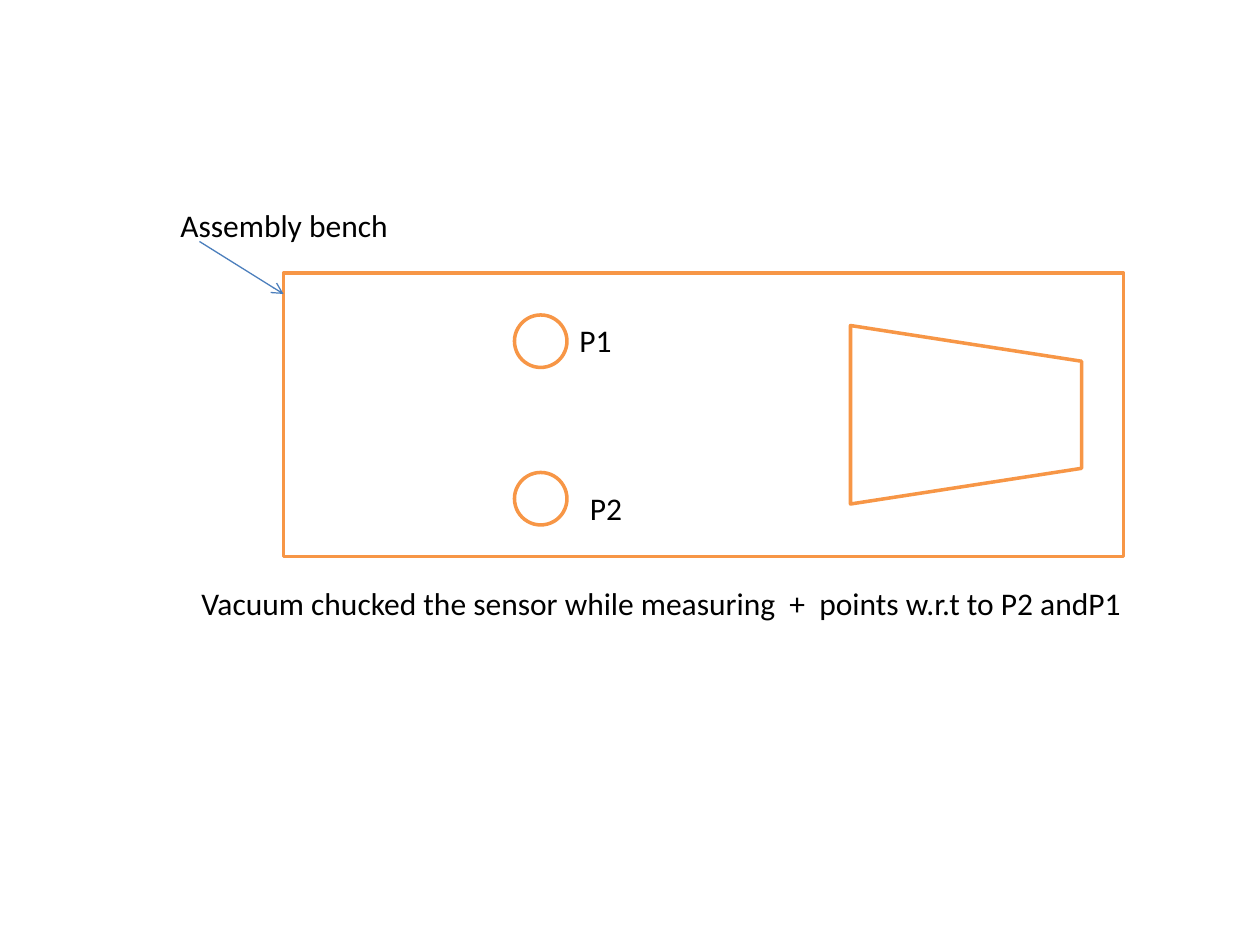
from lxml import etree
from pptx import Presentation
from pptx.dml.color import RGBColor
from pptx.enum.shapes import MSO_CONNECTOR, MSO_SHAPE
from pptx.enum.text import MSO_AUTO_SIZE
from pptx.oxml.ns import qn
from pptx.util import Pt

RECT = MSO_SHAPE.RECTANGLE
DISC = MSO_SHAPE.FLOWCHART_CONNECTOR
TRAP = MSO_SHAPE.FLOWCHART_MANUAL_OPERATION
LINE = MSO_CONNECTOR.STRAIGHT
GROW = MSO_AUTO_SIZE.SHAPE_TO_FIT_TEXT

THEME = {
    "font": "Calibri", "size": 18, "text": "000000", "fill": "FFFFFF",
    "edge": "F79646", "width": 2, "arrow": "4B7EBC", "thin": 0.75,
}

SHAPES = [
    (RECT, (162, 156, 480, 162), 0),
    (DISC, (294, 270, 30, 30), 0),
    (DISC, (294, 180, 30, 30), 0),
    (TRAP, (501, 171, 102, 132), 270),
]
LABELS = [
    ("P2", (330, 276, 33.2)),
    ("P1", (324, 180, 33.2)),
    ("Vacuum chucked the sensor while measuring  +  points w.r.t to P2 andP1",
     (108, 330, 546.5)),
    ("Assembly bench", (96, 114, 134.6)),
]
ARROW = (114, 138, 162, 168)
HEIGHT = 29.08


def tint(name):
    return RGBColor.from_string(THEME[name])


def add_shape(slide, kind, box, turn):
    shape = slide.shapes.add_shape(kind, *map(Pt, box))
    shape.rotation = turn
    shape.shadow.inherit = False
    shape.fill.solid()
    shape.fill.fore_color.rgb = tint("fill")
    shape.line.color.rgb = tint("edge")
    shape.line.width = Pt(THEME["width"])


def add_text(slide, text, *, left, top, width, size=THEME["size"], color="text"):
    box = slide.shapes.add_textbox(Pt(left), Pt(top), Pt(width), Pt(HEIGHT))
    frame = box.text_frame
    frame.word_wrap = False
    frame.auto_size = GROW
    run = frame.paragraphs[0].add_run()
    run.text = text
    run.font.name = THEME["font"]
    run.font.size = Pt(size)
    run.font.color.rgb = tint(color)


def add_arrow(slide, ends):
    arrow = slide.shapes.add_connector(LINE, *map(Pt, ends))
    arrow.line.color.rgb = tint("arrow")
    arrow.line.width = Pt(THEME["thin"])
    props = arrow.element.spPr
    etree.SubElement(props.find(qn("a:ln")), qn("a:tailEnd"), type="arrow")
    etree.SubElement(props, qn("a:effectLst"))


def main():
    deck = Presentation()
    deck.slide_width, deck.slide_height = Pt(720), Pt(540)
    slide = deck.slides.add_slide(deck.slide_layouts[6])
    for kind, box, turn in SHAPES:
        add_shape(slide, kind, box, turn)
    add_arrow(slide, ARROW)
    for text, (left, top, width) in LABELS:
        add_text(slide, text, left=left, top=top, width=width)
    deck.save("out.pptx")


if __name__ == "__main__":
    main()
